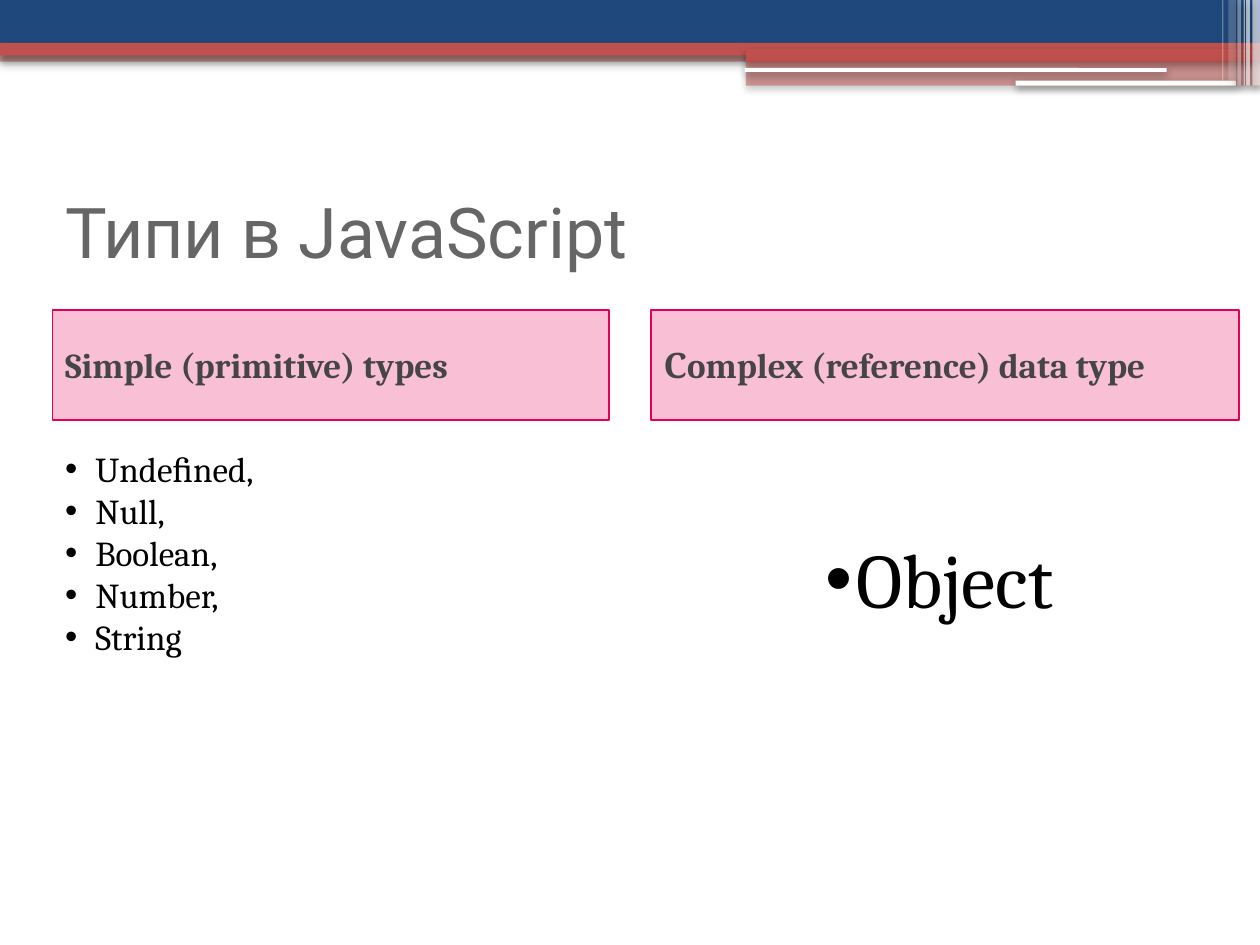
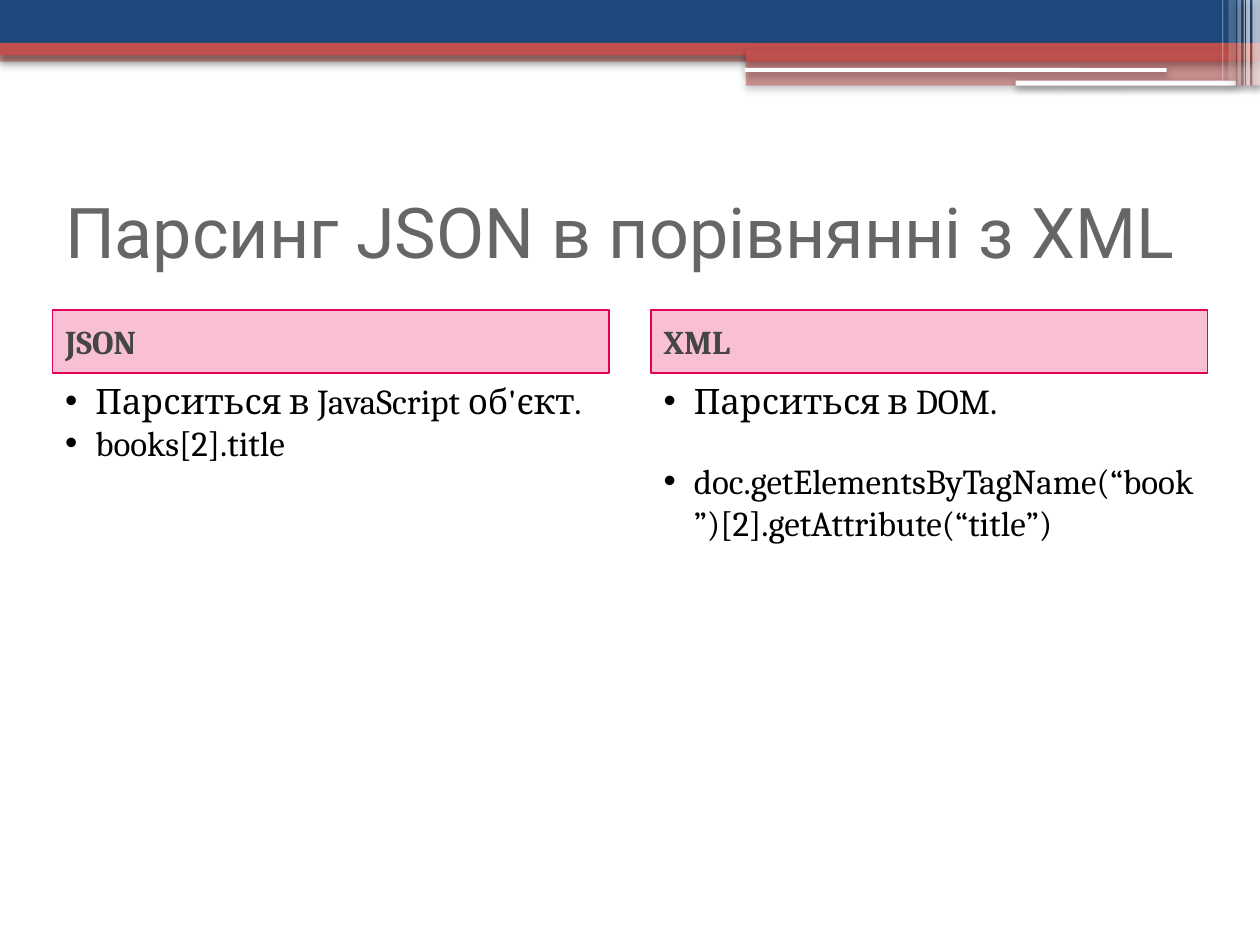
from dataclasses import dataclass

from lxml import etree
from pptx import Presentation, util as u
from pptx.dml.color import RGBColor
from pptx.enum import shapes, text
from pptx.oxml import ns


@dataclass(frozen=True)
class Theme:
    """Colours, fonts and type sizes shared by the slides."""
    navy: str = "1F497D"
    red: str = "C0504D"
    white: str = "FFFFFF"
    black: str = "000000"
    pink: str = "E40059"
    title_grey: str = "666666"
    head_grey: str = "454545"
    title_font: str = "Roboto"
    body_font: str = "Cambria"
    title_size: float = 40
    body_size: float = 20
    small_head_size: float = 19
    large_size: float = 44


THEME = Theme()


@dataclass(frozen=True)
class Box:
    """A rectangle in EMU."""
    left: float
    top: float
    width: float
    height: float

    def region(self, grid, left, top, width, height):
        """Return the box covering the given cells of a (columns, rows) grid."""
        cell_w, cell_h = self.width / grid[0], self.height / grid[1]
        return Box(self.left + left * cell_w, self.top + top * cell_h,
                   width * cell_w, height * cell_h)

    def edges(self):
        """Return left, top, width and height as whole EMU."""
        return [u.Emu(round(v)) for v in (self.left, self.top, self.width, self.height)]


@dataclass(frozen=True)
class Column:
    """One side of a comparison; lengths are in cells of the page grid."""
    head: str
    items: tuple
    head_width: float = 53
    head_rows: float = 6
    head_size: float = THEME.body_size
    list_shift: float = 0
    list_top: float = 6
    list_rows: float = 51
    list_size: float = THEME.body_size
    item_gap: float = 0
    centred: bool = False


SLIDE = Box(0, 0, u.Inches(10), u.Inches(7.5))
GRID = (120, 90)
FINE_GRID = (1000, 750)
COLUMN_LEFTS = (5, 62)
COLUMN_TOP, COLUMN_WIDTH, COLUMN_ROWS = 29.5, 53, 57
BULLET_INDENT = u.Inches(0.24)

BANDS = (
    (0, 40, 1000, 9, THEME.red, 50),
    (0, 0, 1000, 34, THEME.navy, 100),
    (0, 34, 1000, 10, THEME.red, 100),
    (592, 39, 408, 10, THEME.red, 100),
    (592, 48, 408, 20, THEME.red, 50),
)
RULES = ((591, 54, 335, 3, THEME.white, 100), (806, 64, 175, 4, THEME.white, 100))
STRIPES = tuple((left, 0, width, height, THEME.white, alpha)
                for left, width, height, alpha in (
                    (994, 6, 68, 66), (989, 3, 68, 66), (987, 1, 68, 60),
                    (982, 3, 68, 40), (975, 6, 64, 20), (970, 1, 64, 31)))


def fill_shape(shape, colour, alpha):
    """Give a shape a solid fill with an opacity in percent."""
    shape.fill.solid()
    shape.fill.fore_color.rgb = RGBColor.from_string(colour)
    if alpha < 100:
        tone = shape.element.spPr.find(ns.qn("a:solidFill"))[0]
        etree.SubElement(tone, ns.qn("a:alpha"), val=str(alpha * 1000))


def soft_shadow(shape):
    """Give a shape the soft downward shadow of the header bands."""
    shape.shadow.inherit = False
    effects = shape.element.spPr.find(ns.qn("a:effectLst"))
    shadow = etree.SubElement(effects, ns.qn("a:outerShdw"), blurRad=str(u.Pt(4.1)),
                              dist=str(u.Pt(2)), dir="5400000", algn="ctr",
                              rotWithShape="0")
    tone = etree.SubElement(shadow, ns.qn("a:srgbClr"), val=THEME.black)
    etree.SubElement(tone, ns.qn("a:alpha"), val="40000")


def add_master_bands(deck, page):
    """Draw the header decoration and move it behind the master's placeholders."""
    tree = deck.slide_master.shapes.element
    kinds = shapes.MSO_SHAPE
    strips = [(kinds.RECTANGLE, band) for band in BANDS]
    strips += [(kinds.ROUNDED_RECTANGLE, rule) for rule in RULES]
    strips += [(kinds.RECTANGLE, stripe) for stripe in STRIPES]
    for order, (kind, (*cells, colour, alpha)) in enumerate(strips):
        band = page.shapes.add_shape(kind, *SLIDE.region(FINE_GRID, *cells).edges())
        if kind == kinds.ROUNDED_RECTANGLE:
            band.adjustments[0] = 0.14
        band.line.fill.background()
        fill_shape(band, colour, alpha)
        soft_shadow(band)
        tree.insert(2 + order, band.element)


def place_text(shape, box, lines, font, size, colour, bold=False, middle=True,
               centred=False, gap=0):
    """Move a placeholder into a box and set its lines in one style."""
    shape.left, shape.top, shape.width, shape.height = box.edges()
    frame = shape.text_frame
    frame.text = "\n".join(lines)
    frame.word_wrap = True
    frame.auto_size = text.MSO_AUTO_SIZE.NONE
    frame.vertical_anchor = text.MSO_ANCHOR.MIDDLE if middle else text.MSO_ANCHOR.TOP
    for order, para in enumerate(frame.paragraphs):
        para.alignment = text.PP_ALIGN.CENTER if centred else text.PP_ALIGN.LEFT
        para.space_before = u.Pt(gap if order else 0)
        for span in para.runs:
            span.font.name, span.font.size, span.font.bold = font, u.Pt(size), bold
            span.font.color.rgb = RGBColor.from_string(colour)


def add_bullets(frame):
    """Give every paragraph a hanging round bullet."""
    for para in frame.paragraphs:
        props = para._p.get_or_add_pPr()
        props.set("marL", str(BULLET_INDENT))
        props.set("indent", str(-BULLET_INDENT))
        etree.SubElement(props, ns.qn("a:buChar"), char="•")


def place_column(head, body, box, column):
    """Set a tinted heading and its bulleted list inside a column box."""
    grid = (COLUMN_WIDTH, COLUMN_ROWS)
    place_text(head, box.region(grid, 0, 0, column.head_width, column.head_rows),
               [column.head], THEME.body_font, column.head_size, THEME.head_grey, bold=True)
    fill_shape(head, THEME.pink, 25)
    head.line.color.rgb = RGBColor.from_string(THEME.pink)
    head.line.width = u.Pt(1)
    list_box = box.region(grid, column.list_shift, column.list_top,
                          COLUMN_WIDTH, column.list_rows)
    place_text(body, list_box, column.items, THEME.body_font, column.list_size,
               THEME.black, middle=column.centred, centred=column.centred,
               gap=column.item_gap)
    add_bullets(body.text_frame)


def add_comparison(deck, title, columns):
    """Add a slide with a title and two columns side by side."""
    page = deck.slides.add_slide(deck.slide_layouts.get_by_name("Comparison"))
    place_text(page.shapes.title, SLIDE.region(GRID, 5, 15, 110, 14), [title],
               THEME.title_font, THEME.title_size, THEME.title_grey)
    heads_and_bodies = list(page.placeholders)[1:]
    pairs = zip(heads_and_bodies[::2], heads_and_bodies[1::2])
    for (head, body), left, column in zip(pairs, COLUMN_LEFTS, columns):
        box = SLIDE.region(GRID, left, COLUMN_TOP, COLUMN_WIDTH, COLUMN_ROWS)
        place_column(head, body, box, column)
    return page


def main():
    """Build the deck and save it."""
    deck = Presentation()
    deck.slide_width, deck.slide_height = SLIDE.width, SLIDE.height
    types_page = add_comparison(deck, "Типи в JavaScript", (
        Column("Simple (primitive) types",
               ("Undeﬁned,", "Null,", "Boolean,", "Number,", "String"),
               head_rows=10.5, list_top=12.5),
        Column("Сomplex (reference) data type", ("Object",),
               head_width=56, head_rows=10.5, list_shift=1, list_top=12.5,
               list_rows=26, list_size=THEME.large_size, centred=True)))
    add_master_bands(deck, types_page)
    add_comparison(deck, "Парсинг JSON в порівнянні з XML", (
        Column("JSON", ("Парситься в JavaScript об'єкт.", "books[2].title"),
               head_size=THEME.small_head_size),
        Column("XML", ("Парситься в DOM.",
                       "doc.getElementsByTagName(“book”)[2].getAttribute(“title”)"),
               head_size=THEME.small_head_size, item_gap=22)))
    deck.save("out.pptx")


if __name__ == "__main__":
    main()
